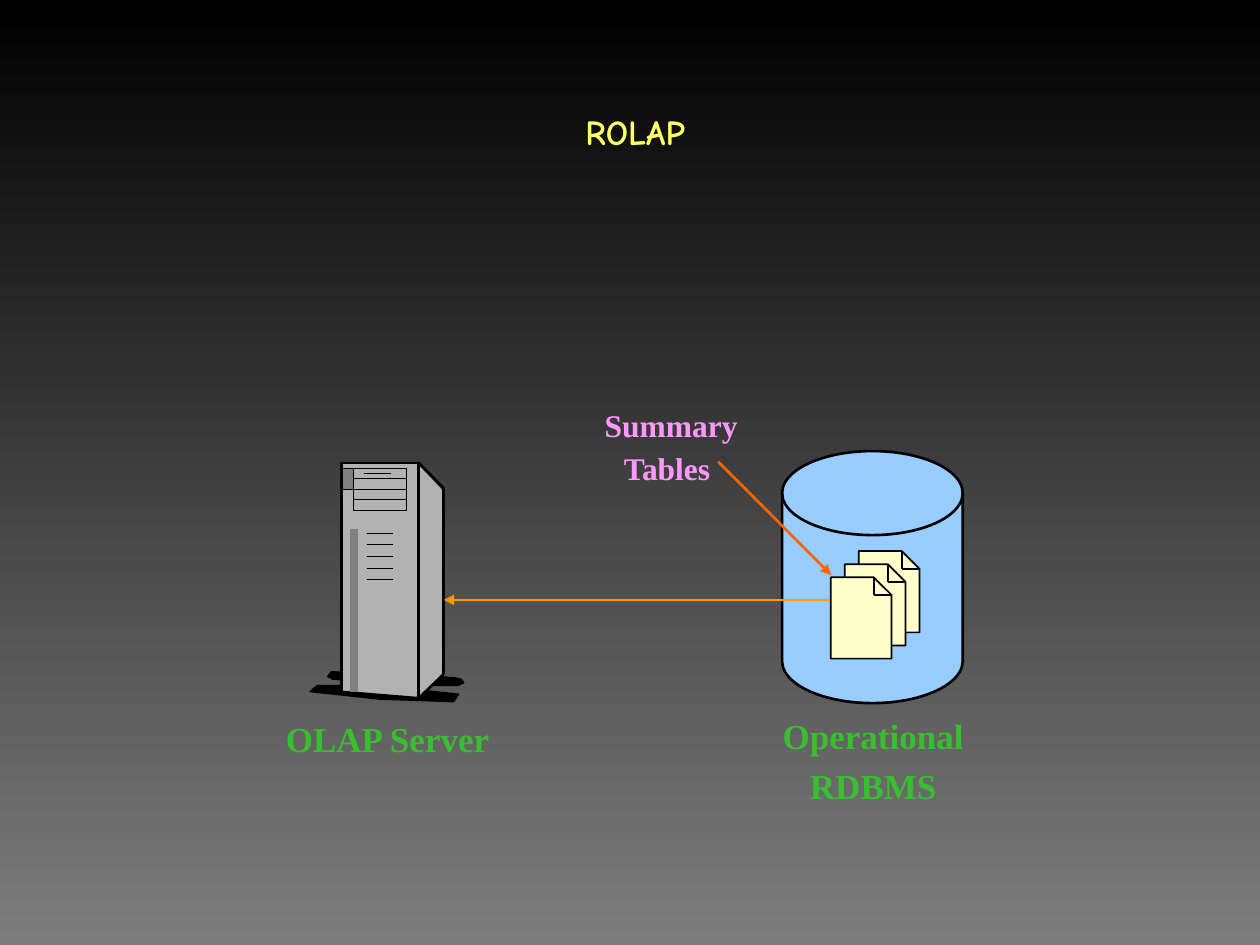
"""Build the ROLAP slide: an OLAP server reading summary tables in an RDBMS."""
from lxml import etree
from pptx import Presentation
from pptx.dml.color import RGBColor
from pptx.enum import shapes, text
from pptx.oxml import ns
from pptx.util import Pt

BLACK = RGBColor(0x00, 0x00, 0x00)
SLATE = RGBColor(0x7D, 0x7D, 0x7D)
STEEL = RGBColor(0xB2, 0xB2, 0xB2)
GRAY = RGBColor(0x80, 0x80, 0x80)
YELLOW = RGBColor(0xFF, 0xFF, 0x66)
CREAM = RGBColor(0xFF, 0xFF, 0xCC)
BLUE = RGBColor(0x99, 0xCC, 0xFF)
GREEN = RGBColor(0x38, 0xBE, 0x2E)
PINK = RGBColor(0xFF, 0x99, 0xFF)
ORANGE = RGBColor(0xFF, 0x66, 0x00)
AMBER = RGBColor(0xFF, 0x99, 0x00)


def write(frame, words, size=20, font="Times New Roman", color=GREEN):
    frame.word_wrap = False
    frame.auto_size = text.MSO_AUTO_SIZE.NONE
    frame.vertical_anchor = text.MSO_ANCHOR.MIDDLE
    paragraph = frame.paragraphs[0]
    paragraph.alignment = text.PP_ALIGN.CENTER
    run = paragraph.add_run()
    run.text = words
    run.font.size = Pt(size)
    run.font.name = font
    run.font.bold = True
    run.font.color.rgb = color


class Diagram:
    def __init__(self, slide):
        self.slide = slide
        self.shapes = slide.shapes

    def background(self, top, bottom):
        fill = self.slide.background.fill
        fill.gradient()
        fill.gradient_angle = 270
        for stop, color in zip(fill.gradient_stops, (top, bottom)):
            stop.color.rgb = color

    def title(self, words, left, top, width, height, **style):
        title = self.slide.shapes.title
        title.left, title.top = Pt(left), Pt(top)
        title.width, title.height = Pt(width), Pt(height)
        write(title.text_frame, words, **style)

    def group(self):
        self.shapes = self.slide.shapes.add_group_shape().shapes

    def ungroup(self):
        self.shapes = self.slide.shapes

    def label(self, words, center, middle, width=150, height=30, **style):
        box = self.shapes.add_textbox(
            Pt(center - width / 2), Pt(middle - height / 2), Pt(width), Pt(height))
        write(box.text_frame, words, **style)

    def paint(self, shape, fill, weight):
        shape.shadow.inherit = False
        shape.fill.solid()
        shape.fill.fore_color.rgb = fill
        if weight:
            shape.line.color.rgb = BLACK
            shape.line.width = Pt(weight)
        else:
            shape.line.fill.background()

    def shape(self, kind, left, top, width, height, fill, weight):
        shape = self.shapes.add_shape(kind, Pt(left), Pt(top), Pt(width), Pt(height))
        self.paint(shape, fill, weight)

    def outline(self, points, fill, weight=0):
        start, *rest = [(Pt(x), Pt(y)) for x, y in points]
        builder = self.shapes.build_freeform(*start)
        builder.add_line_segments(rest, close=True)
        self.paint(builder.convert_to_shape(), fill, weight)

    def line(self, start, end, weight, color=BLACK, arrow=False):
        connector = self.shapes.add_connector(
            shapes.MSO_CONNECTOR.STRAIGHT, *(Pt(value) for value in (*start, *end)))
        connector.line.color.rgb = color
        connector.line.width = Pt(weight)
        if arrow:
            etree.SubElement(connector.line._get_or_add_ln(), ns.qn("a:tailEnd"), type="triangle")
        etree.SubElement(connector._element.spPr, ns.qn("a:effectLst"))

    def document(self, left, top):
        width, height, fold = 34.7, 46.5, 10.2
        right, bottom, crease = left + width, top + height, left + width - fold
        self.outline([(left, top), (crease, top), (right, top + fold),
                      (right, bottom), (left, bottom)], CREAM, 1)
        self.line((crease, top), (crease, top + fold), 1)
        self.line((crease, top + fold), (right, top + fold), 1)


def draw_server(diagram):
    diagram.group()
    diagram.outline([(260.6, 387.4), (249.8, 386.6), (189.4, 383.8), (187.2, 386.6),
                     (190.1, 388.1), (243.4, 391.7), (261.4, 391.7), (265, 390.2),
                     (263.5, 388.1)], BLACK, 0.75)
    diagram.outline([(193.7, 391.7), (181.4, 391.7), (177.1, 395.3), (217.4, 399.6),
                     (259.2, 401), (262.1, 396.7), (242.6, 394.6), (216.7, 392.4)],
                    BLACK, 0.75)
    diagram.outline([(239.8, 266.4), (252.7, 280.1), (252.7, 385.2), (239.8, 398.2)], STEEL)
    diagram.outline([(195.1, 265), (239, 265), (239, 398.9), (194.4, 394.6)], STEEL)
    top_left, top_right, foot_left, foot_right = (195, 264.5), (239.2, 264.5), (195, 395.4), (239.2, 399)
    back_top, back_foot = (253.6, 279), (253.6, 385.2)
    edges = [(top_left, top_right), (top_right, foot_right), (foot_left, foot_right),
             (foot_right, back_foot), (back_foot, back_top), (back_top, top_right),
             (top_left, foot_left)]
    for start, end in edges:
        diagram.line(start, end, 1.5)
    bay_top, bay_pitch = 267.4, 6
    diagram.shape(shapes.MSO_SHAPE.RECTANGLE, 201.7, bay_top, 30.2, 4 * bay_pitch, STEEL, 0.25)
    for row in range(1, 4):
        y = bay_top + row * bay_pitch
        diagram.line((201.7, y), (231.9, y), 0.25)
    diagram.line((202.3, 302.4), (202.3, 395.3), 4.5, GRAY)
    for row in range(5):
        y = 304.6 + row * 6.65
        diagram.line((209.5, y), (224.6, y), 0.25)
    diagram.shape(shapes.MSO_SHAPE.RECTANGLE, 195.8, bay_top, 5.9, 12, GRAY, 0.25)
    diagram.line((208.1, 270.5), (223.2, 270.5), 0.5)
    diagram.label("OLAP Server", 221.5, 422)


def draw_database(diagram):
    diagram.group()
    diagram.shape(shapes.MSO_SHAPE.FLOWCHART_MAGNETIC_DISK, 446.9, 257.8, 103.2, 144, BLUE, 1.5)
    for step in range(3):
        diagram.document(490.8 - step * 8, 314.9 - step * -7.5)
    diagram.label("Operational", 499, 420)
    diagram.label("RDBMS", 499, 448.6)


def main():
    deck = Presentation()
    deck.slide_width, deck.slide_height = Pt(720), Pt(540)
    diagram = Diagram(deck.slides.add_slide(deck.slide_layouts[5]))
    diagram.background(BLACK, SLATE)
    diagram.title("ROLAP", 303, 54, 120, 42, font="Comic Neue", color=YELLOW)
    draw_server(diagram)
    draw_database(diagram)
    diagram.group()
    diagram.label("Summary", 383.5, 242.6, 95, 28.8, size=18, color=PINK)
    diagram.label("Tables", 381.2, 267.4, 65, 28.8, size=18, color=PINK)
    diagram.ungroup()
    diagram.line((410.4, 263.8), (475, 328.6), 1.5, ORANGE, arrow=True)
    diagram.line((474, 342.8), (253.6, 342.8), 1.5, AMBER, arrow=True)
    deck.save("out.pptx")


if __name__ == "__main__":
    main()
